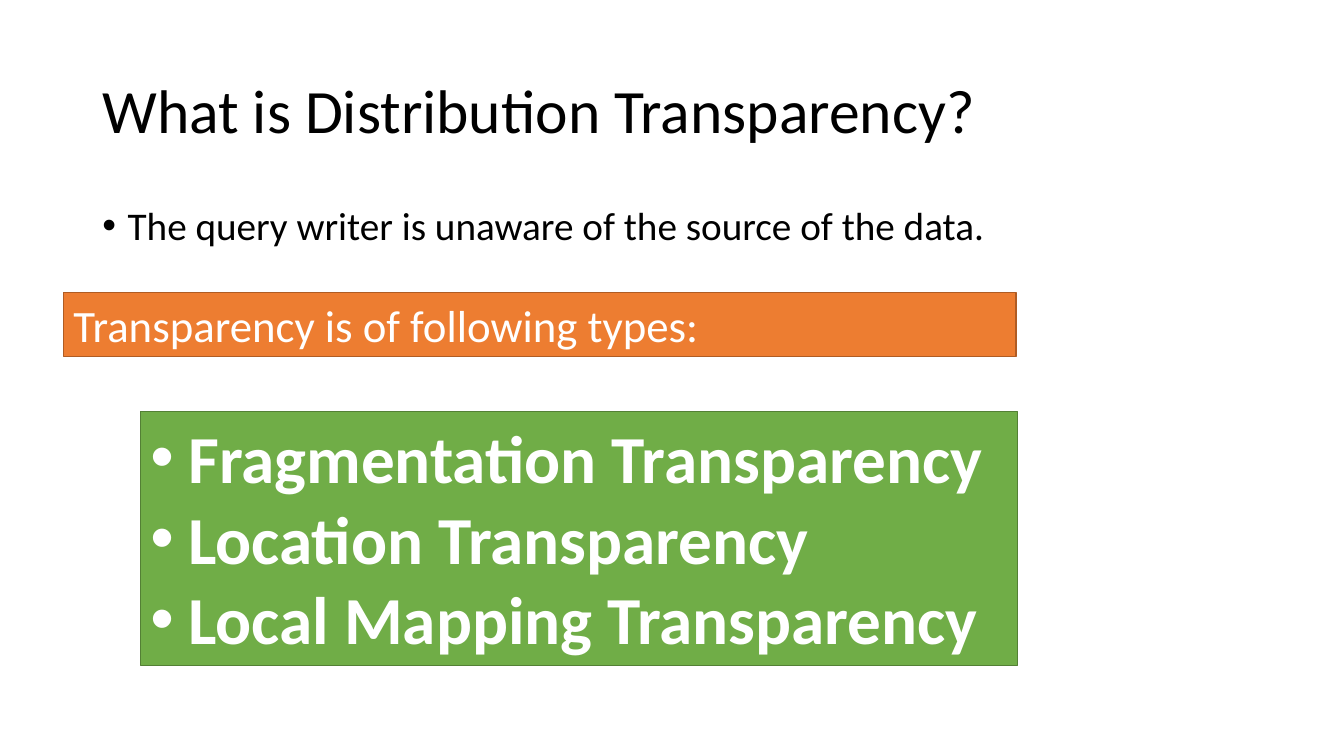
from pptx import Presentation
from pptx.dml.color import RGBColor
from pptx.enum.shapes import MSO_SHAPE
from pptx.enum.text import MSO_ANCHOR, PP_ALIGN
from pptx.oxml import parse_xml
from pptx.oxml.ns import nsdecls
from pptx.util import Pt

# Content
TITLE = "What is Distribution Transparency?"
DEFINITION = ["The query writer is unaware of the source of the data."]
TYPES_HEADING = ["Transparency is of following types:"]
TYPES = [
    "Fragmentation Transparency",
    "Location Transparency",
    "Local Mapping Transparency",
]

# Style
FONT = "Calibri"
BLACK = RGBColor(0x00, 0x00, 0x00)
WHITE = RGBColor(0xFF, 0xFF, 0xFF)
ORANGE = RGBColor(0xED, 0x7D, 0x31)
DARK_ORANGE = RGBColor(0xAF, 0x5C, 0x24)
GREEN = RGBColor(0x70, 0xAD, 0x47)
DARK_GREEN = RGBColor(0x53, 0x80, 0x35)

# Left, top, width, height in points
TITLE_BOX = (66, 28.8, 828, 104.4)
DEFINITION_BOX = (66, 144, 828, 78.5)
HEADING_BOX = (45.4, 208.8, 680.4, 46)
TYPES_BOX = (100.4, 293.8, 626.4, 181.4)


def place(s, box):
    s.left, s.top, s.width, s.height = map(Pt, box)


def write(tf, lines, size, color, bold=False, spacing=1.0, before=0, indent=0):
    """Fill a text frame, one paragraph a line; an indent adds bullets."""
    tf.word_wrap = True
    for i, line in enumerate(lines):
        p = tf.paragraphs[0] if i == 0 else tf.add_paragraph()
        p.alignment = PP_ALIGN.LEFT
        p.line_spacing = spacing
        p.space_before = Pt(before)
        if indent:
            pPr = p._p.get_or_add_pPr()
            pPr.set("marL", str(Pt(indent)))
            pPr.set("indent", str(-Pt(indent)))
            pPr.append(parse_xml(f'<a:buFont {nsdecls("a")} typeface="Arial"/>'))
            pPr.append(parse_xml(f'<a:buChar {nsdecls("a")} char="•"/>'))
        r = p.add_run()
        r.text = line
        r.font.name = FONT
        r.font.size = Pt(size)
        r.font.bold = bold
        r.font.color.rgb = color


def add_panel(shapes, box, fill, line):
    sp = shapes.add_shape(MSO_SHAPE.RECTANGLE, *map(Pt, box))
    sp.shadow.inherit = False
    sp.fill.solid()
    sp.fill.fore_color.rgb = fill
    sp.line.color.rgb = line
    sp.line.width = Pt(1)
    sp.text_frame.vertical_anchor = MSO_ANCHOR.TOP
    return sp.text_frame


def main():
    prs = Presentation()
    prs.slide_width, prs.slide_height = Pt(960), Pt(540)
    s = prs.slides.add_slide(prs.slide_layouts[1])

    # Title and definition
    title, body = s.shapes.title, s.placeholders[1]
    place(title, TITLE_BOX)
    title.text_frame.vertical_anchor = MSO_ANCHOR.MIDDLE
    write(title.text_frame, [TITLE], 44, BLACK, spacing=0.9)
    place(body, DEFINITION_BOX)
    write(body.text_frame, DEFINITION, 28, BLACK, spacing=0.9, before=10, indent=18)

    # Heading bar and list of types
    tf = add_panel(s.shapes, HEADING_BOX, ORANGE, DARK_ORANGE)
    write(tf, TYPES_HEADING, 32, WHITE)
    tf = add_panel(s.shapes, TYPES_BOX, GREEN, DARK_GREEN)
    write(tf, TYPES, 48, WHITE, bold=True, indent=27)
    tf.word_wrap = False

    prs.save("out.pptx")


if __name__ == "__main__":
    main()
